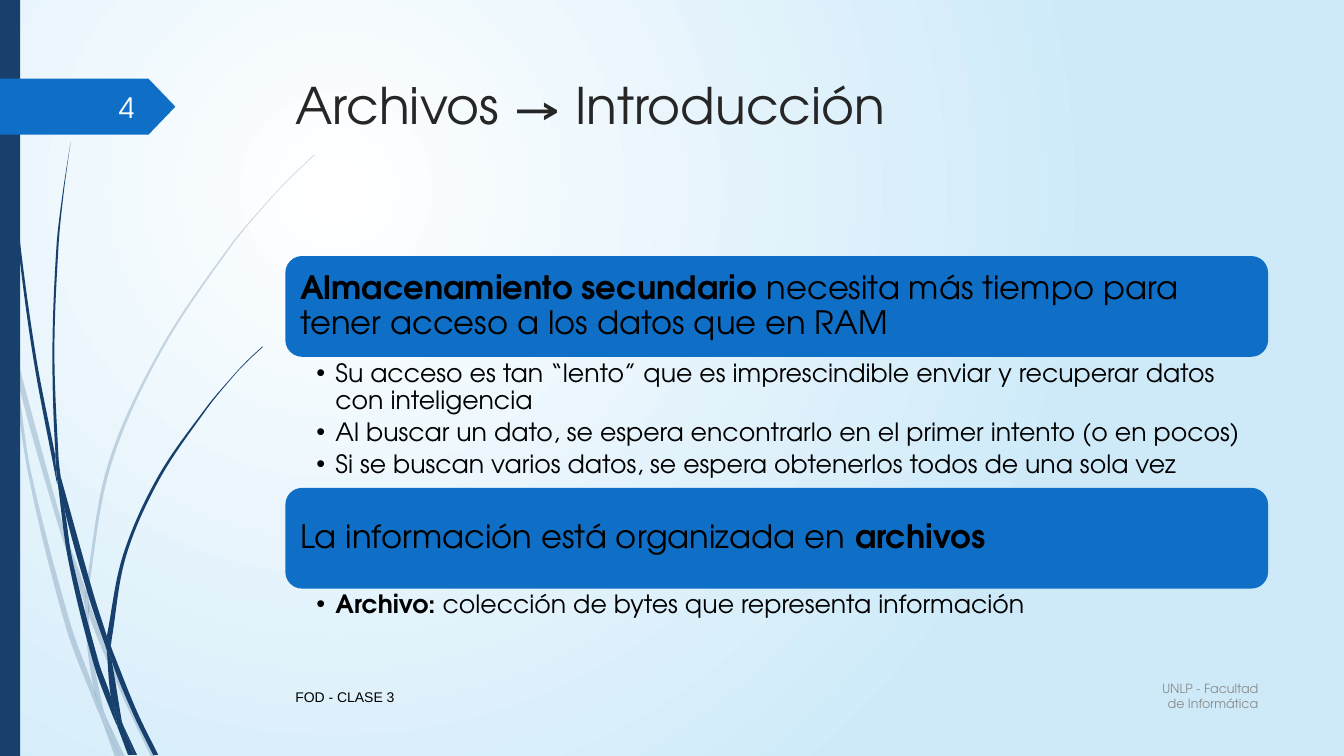
from math import dist

from lxml.etree import SubElement as Sub
from pptx import Presentation
from pptx.dml.color import RGBColor
from pptx.enum.shapes import MSO_SHAPE as Preset
from pptx.enum.text import MSO_ANCHOR as Anchor, MSO_AUTO_SIZE as AutoSize, PP_ALIGN as Align
from pptx.oxml.ns import qn
from pptx.util import Pt

NAVY = RGBColor(0x17, 0x40, 0x6D)
BLUE = RGBColor(0x0F, 0x6F, 0xC6)
SKY = RGBColor(0xCE, 0xEA, 0xF9)
WHITE = RGBColor(0xFF, 0xFF, 0xFF)
NUMBER_WHITE = RGBColor(0xFE, 0xFF, 0xFF)
BLACK = RGBColor(0, 0, 0)
CHARCOAL = RGBColor(0x26, 0x26, 0x26)
GREY = RGBColor(0x8C, 0x8C, 0x8C)
GEOMETRIC = "TeX Gyre Adventor"

# Outlines of the blade pieces, as x,y knots in 1/100 inch
PALE_GRASS = [
    "11,350 9,322 0,282 0,299 10,344",
    "58,522 84,599 85,586 62,520 14,345 17,376",
    "92,607 88,596 88,610 123,694 150,751 155,751 127,692",
    "119,751 124,751 105,711",
    "93,683 70,619 31,469 17,376 11,350 28,470 65,621 92,693 101,714 99,707",
    "84,599 87,646 93,683 96,692 105,711 103,706 91,646 88,610 88,608",
    "88,584 110,462 160,349 229,245 268,198 290,175 312,154 312,153 289,175 268,197 228,244 "
    "158,348 107,461 85,584 85,586 88,596",
    "101,714 114,751 119,751",
    "88,608 88,610 88,596 85,586 84,599",
    "96,692 93,683 99,707 101,714 119,751 105,711",
]
DARK_GRASS = [
    "7,110 17,233 33,355 56,477 57,481 55,457 55,453 36,355 19,232 8,109 5,48 4,0 3,0 4,48",
    "88,592 106,645 106,633 106,631 93,590 60,472 64,505",
    "113,649 110,641 111,656 132,708 152,749 157,749 136,706",
    "110,691 98,657 72,556 64,505 57,477 68,557 93,659 111,708 117,722 116,717",
    "60,472 58,453 54,349 58,245 63,193 70,141 62,193 56,245 52,349 55,449",
    "133,749 136,749 122,719",
    "57,477 64,505 60,472 55,449 55,453",
    "111,633 125,552 158,476 205,406 231,374 245,359 261,344 260,344 245,358 231,373 204,405 "
    "156,474 122,551 106,631 110,641",
    "117,722 127,749 131,749",
    "106,645 110,691 116,706 122,719 121,716 111,656 109,651",
    "106,645 109,651 111,656 110,641 106,631 106,633",
    "116,706 110,691 116,717 117,722 130,749 133,749 122,719",
]

SECTIONS = [
    ([("Almacenamiento secundario", True),
      (" necesita más tiempo para tener acceso a los datos que en RAM", False)],
     [[("Su acceso es tan “lento” que es imprescindible enviar y recuperar datos con inteligencia", False)],
      [("Al buscar un dato, se espera encontrarlo en el primer intento (o en pocos)", False)],
      [("Si se buscan varios datos, se espera obtenerlos todos de una sola vez", False)]],
     93.6),
    ([("La información está organizada en ", False), ("archivos", True)],
     [[("Archivo: ", True), ("colección de bytes que representa información", False)]],
     30.2),
]
CARD_HEIGHT = 72


def assign(target, **values):
    for name, value in values.items():
        setattr(target, name, value)


def paint(shape, colour, alpha=None):
    shape.shadow.inherit = False
    shape.fill.solid()
    shape.fill.fore_color.rgb = colour
    shape.line.fill.background()
    if alpha:
        Sub(shape._element.spPr.find(".//" + qn("a:srgbClr")), qn("a:alpha"), val=str(alpha * 1000))


def write(paragraph, runs, size, colour, face=GEOMETRIC):
    for words, bold in runs:
        run = paragraph.add_run()
        run.text = words
        assign(run.font, size=Pt(size), name=face, bold=bold)
        run.font.color.rgb = colour


def direction(a, b):
    return [(q - p) / dist(a, b) for p, q in zip(a, b)]


def heading_at(before, knot, after):
    """Direction of the curve at a knot, or None where the outline has a corner."""
    arriving, leaving = direction(before, knot), direction(knot, after)
    if arriving[0] * leaving[0] + arriving[1] * leaving[1] < 0.9:
        return None
    return direction(before, after)


def curve_outline(blade):
    """Turn the straight sides of a closed outline into smooth curves."""
    sides = list(blade._element.iter(qn("a:lnTo")))
    ends = [(int(side[0].get("x")), int(side[0].get("y"))) for side in sides]
    count = len(ends)
    headings = [heading_at(ends[i - 1], ends[i], ends[(i + 1) % count]) for i in range(count)]
    for i, side in enumerate(sides):
        start, end = ends[i - 1], ends[i]
        straight, reach = direction(start, end), dist(start, end) / 3
        leaving, arriving = headings[i - 1] or straight, headings[i] or straight
        side.tag = qn("a:cubicBezTo")
        for order, (base, heading, pull) in enumerate(
                [(start, leaving, reach), (end, arriving, -reach)]):
            x, y = (str(round(p + h * pull)) for p, h in zip(base, heading))
            side.insert(order, side.makeelement(qn("a:pt"), x=x, y=y))


def draw_background(slide):
    fill = slide.background.fill
    fill.gradient()
    for stop, colour in zip(fill.gradient_stops, (WHITE, SKY)):
        stop.color.rgb = colour
    gradient = slide._element.find(".//" + qn("a:gradFill"))
    gradient.remove(gradient.find(qn("a:lin")))
    circle = Sub(gradient, qn("a:path"), path="circle")
    Sub(circle, qn("a:fillToRect"), l="50000", t="50000", r="100000", b="100000")


def draw_grass(slide, outlines, alpha=None):
    tuft = slide.shapes.add_group_shape()
    for outline in outlines:
        knots = [tuple(Pt(int(n) * 0.72) for n in knot.split(",")) for knot in outline.split()]
        builder = tuft.shapes.build_freeform(*knots[0])
        builder.add_line_segments(knots[1:] + knots[:1], close=True)
        blade = builder.convert_to_shape()
        curve_outline(blade)
        paint(blade, NAVY, alpha)


def draw_label(slide, box, words, size, colour, align, face=GEOMETRIC):
    label = slide.shapes.add_textbox(*map(Pt, box))
    assign(label.text_frame, word_wrap=True, vertical_anchor=Anchor.MIDDLE)
    paragraph = label.text_frame.paragraphs[0]
    paragraph.alignment = align
    write(paragraph, [(words, False)], size, colour, face)


def draw_edge(slide, left, top, height):
    """Side bar and page number badge."""
    for preset, offset, width, depth, colour in ((Preset.RECTANGLE, 0, 14.4, height, NAVY),
                                                 (Preset.PENTAGON, 56.2, 125.3, 40, BLUE)):
        part = slide.shapes.add_shape(preset, Pt(left), Pt(top + offset), Pt(width), Pt(depth))
        paint(part, colour)
    part.adjustments[0] = 0.48
    draw_label(slide, (left + 41.8, top + 61.9, 61.2, 28.8), "4", 20, NUMBER_WHITE, Align.RIGHT)


def fit(holder, left, top, width, height, **margins):
    assign(holder, left=Pt(left), top=Pt(top), width=Pt(width), height=Pt(height))
    assign(holder.text_frame, word_wrap=True, auto_size=AutoSize.NONE,
           vertical_anchor=Anchor.TOP, **margins)


def draw_title(title, box, words):
    fit(title, *box)
    paragraph = title.text_frame.paragraphs[0]
    paragraph.alignment = Align.LEFT
    write(paragraph, [(words, False)], 36, CHARCOAL)


def draw_section(slide, body, left, top, width, heading, points, list_height):
    """A heading card with its bullet list right below; returns the bottom."""
    card = slide.shapes.add_shape(Preset.ROUNDED_RECTANGLE, *map(Pt, (left, top, width, CARD_HEIGHT)))
    paint(card, BLUE)
    assign(card.text_frame, word_wrap=True, vertical_anchor=Anchor.MIDDLE, margin_left=Pt(7),
           margin_right=Pt(7), margin_top=Pt(7), margin_bottom=Pt(7))
    paragraph = card.text_frame.paragraphs[0]
    assign(paragraph, alignment=Align.LEFT, line_spacing=0.9)
    write(paragraph, heading, 23, BLACK)

    fit(body, left, top + CARD_HEIGHT, width, list_height, margin_left=Pt(22.1),
        margin_right=Pt(13), margin_top=Pt(2.4), margin_bottom=Pt(2.2))
    for number, runs in enumerate(points):
        paragraph = body.text_frame.add_paragraph() if number else body.text_frame.paragraphs[0]
        layout = paragraph._p.get_or_add_pPr()
        layout.set("marL", str(Pt(13.7)))
        layout.set("indent", str(-Pt(13.7)))
        Sub(layout, qn("a:buFont"), typeface="Arial")
        Sub(layout, qn("a:buChar"), char="•")
        assign(paragraph, level=1, alignment=Align.LEFT, line_spacing=0.9,
               space_before=Pt(0), space_after=Pt(3.6))
        write(paragraph, runs, 18, BLACK)
    return top + CARD_HEIGHT + list_height


def main():
    deck = Presentation()
    assign(deck, slide_width=Pt(960), slide_height=Pt(540))
    slide = deck.slides.add_slide(deck.slide_layouts.get_by_name("Two Content"))
    title, *bodies = slide.placeholders
    # Decoration
    draw_background(slide)
    draw_grass(slide, PALE_GRASS, alpha=20)
    draw_grass(slide, DARK_GRASS)
    draw_edge(slide, 0, 0, 540)
    # Content
    left, top, width = 203.8, 182.9, 702
    draw_title(title, (204, 49, width, 100.8), "Archivos → Introducción")
    for body, section in zip(bodies, SECTIONS):
        top = draw_section(slide, body, left, top, width, *section)
    # Footer
    draw_label(slide, (815.8, 482.4, 90, 29.5), "UNLP - Facultad de Informática", 9, GREY, Align.RIGHT)
    draw_label(slide, (left, 483.1, 600, 28.8), "FOD - CLASE 3", 10, BLACK, Align.LEFT, "Arial")
    deck.save("out.pptx")


if __name__ == "__main__":
    main()
